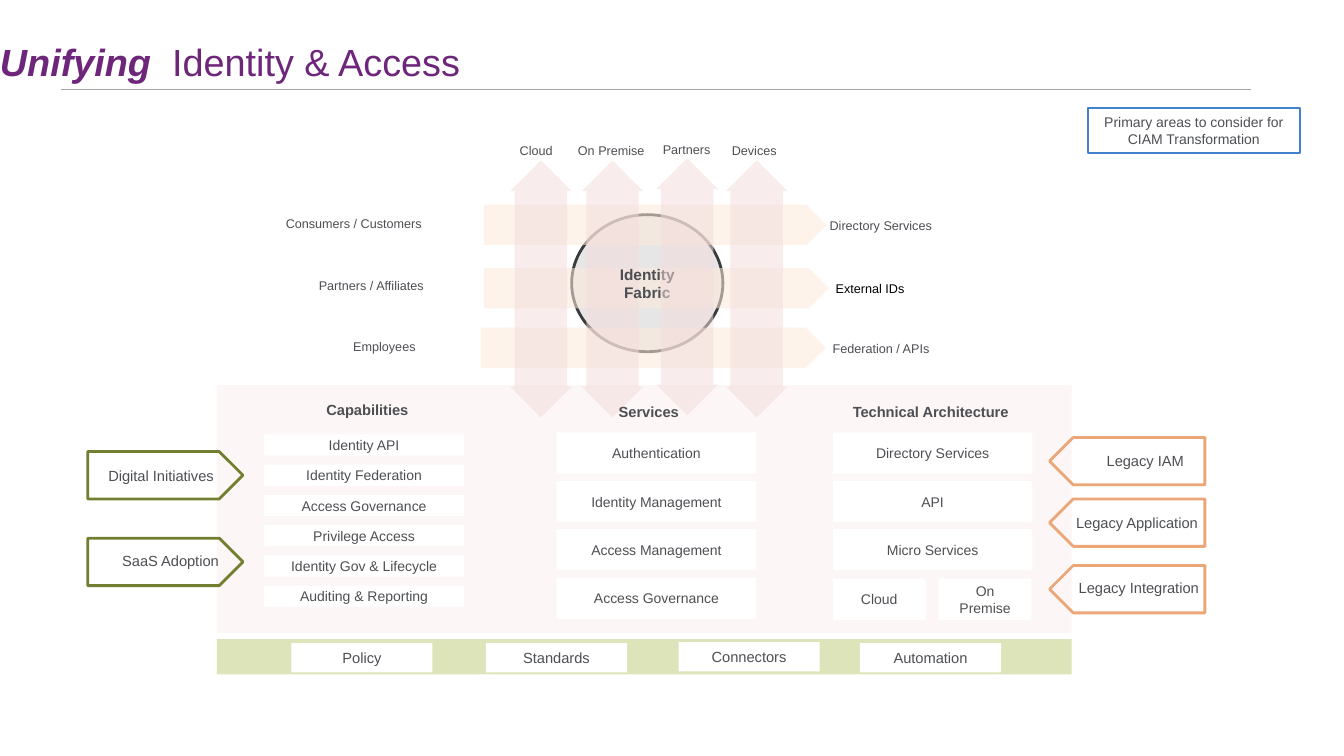
from dataclasses import dataclass

from lxml import etree
from pptx import Presentation
from pptx import util as u
from pptx.dml.color import RGBColor
from pptx.enum import shapes, text
from pptx.oxml import ns

Shape = shapes.MSO_SHAPE
Align = text.PP_ALIGN


@dataclass(frozen=True)
class Theme:
    font: str = "Arial"
    ink: str = "4D4F53"
    black: str = "000000"
    white: str = "FFFFFF"
    purple: str = "6E267B"
    rule: str = "A6A6A6"
    panel: str = "FCF6F6"
    disc: str = "D9D9D9"
    disc_edge: str = "3A3B3E"
    peach: str = "FDEADA"
    rose: str = "F2DCDB"
    green: str = "DDE4B9"
    olive: str = "727E30"
    orange: str = "EBA777"
    blue: str = "4181CE"
    title: float = 27
    hub: float = 11
    heading: float = 10.5
    body: float = 10
    label: float = 9


THEME = Theme()


def style_span(span, size, color, bold=False, italic=False):
    font = span.font
    font.name, font.size = THEME.font, u.Pt(size)
    font.bold, font.italic = bold, italic
    font.color.rgb = RGBColor.from_string(color)


def write(box, words, size, color=THEME.ink, align=Align.CENTER, bold=False):
    box.text_frame.word_wrap = True
    para = box.text_frame.paragraphs[0]
    para.text = words
    para.alignment = align
    style_span(para.runs[0], size, color, bold)


def add_label(page, words, left, top, width, height=0.25, size=THEME.label, **style):
    box = page.shapes.add_textbox(*map(u.Inches, (left, top, width, height)))
    write(box, words, size, **style)


def add_block(page, kind, left, top, width, height, fill=None, alpha=None,
              line=None, weight=2, rotation=0):
    block = page.shapes.add_shape(kind, *map(u.Inches, (left, top, width, height)))
    block.shadow.inherit = False
    block.rotation = rotation
    if fill:
        block.fill.solid()
        block.fill.fore_color.rgb = RGBColor.from_string(fill)
    else:
        block.fill.background()
    if alpha:
        color = block.fill._xPr.find(".//" + ns.qn("a:srgbClr"))
        etree.SubElement(color, ns.qn("a:alpha"), val=str(alpha * 1000))
    if line:
        block.line.color.rgb = RGBColor.from_string(line)
        block.line.width = u.Pt(weight)
    else:
        block.line.fill.background()
    return block


def add_card(page, words, left, top, width, height, size=THEME.body, **look):
    card = add_block(page, Shape.RECTANGLE, left, top, width, height, **look)
    card.text_frame.vertical_anchor = text.MSO_ANCHOR.MIDDLE
    write(card, words, size)


def add_stack(page, names, left, top, pitch, height):
    for row, name in enumerate(names):
        add_card(page, name, left, top + row * pitch, 1.98, height, fill=THEME.white)


def add_title(page):
    box = page.shapes.add_textbox(0, u.Inches(0.31), u.Inches(13.33), u.Inches(0.59))
    frame = box.text_frame
    frame.word_wrap = True
    frame.margin_left = frame.margin_right = 0
    frame.vertical_anchor = text.MSO_ANCHOR.MIDDLE
    para = frame.paragraphs[0]
    for words, strong in (("Unifying  ", True), ("Identity & Access", False)):
        span = para.add_run()
        span.text = words
        style_span(span, THEME.title, THEME.purple, strong, strong)

    rule = page.shapes.add_connector(
        shapes.MSO_CONNECTOR.STRAIGHT, *map(u.Inches, (0.61, 0.89, 12.41, 0.89)))
    rule.line.color.rgb = RGBColor.from_string(THEME.rule)
    rule.line.width = u.Pt(0.75)
    etree.SubElement(rule._element.spPr, ns.qn("a:effectLst"))


def add_channel(page, left, top):
    arrow = add_block(page, Shape.LEFT_RIGHT_ARROW, left, top, 2.55, 0.61,
                      fill=THEME.rose, alpha=52, rotation=270)
    arrow.adjustments[0], arrow.adjustments[1] = 0.852, 0.5


def add_fabric(page):
    add_block(page, Shape.OVAL, 5.67, 2.13, 1.5, 1.36, fill=THEME.disc, alpha=64,
              line=THEME.disc_edge)

    # Horizontal flows from users to sources
    for left, top, width in ((4.8, 2.03, 3.4), (4.8, 2.66, 3.42), (4.77, 3.25, 3.42)):
        add_block(page, Shape.PENTAGON, left, top, width, 0.4, fill=THEME.peach, alpha=55)
    for words, left, top, width in (("Consumers / Customers", 2.26, 2.09, 2.02),
                                    ("Partners / Affiliates", 2.68, 2.71, 1.62),
                                    ("Employees", 1.81, 3.31, 2.41)):
        add_label(page, words, left, top, width, align=Align.RIGHT)
    for words, left, top, color in (("Directory Services", 8.13, 2.11, THEME.ink),
                                    ("External IDs", 8.19, 2.74, THEME.black),
                                    ("Federation / APIs", 8.16, 3.33, THEME.ink)):
        add_label(page, words, left, top, 1.52, color=color, align=Align.LEFT)

    # Vertical channels; the hub name lies beneath the right-hand pair
    add_channel(page, 4.09, 2.56)
    add_channel(page, 4.8, 2.56)
    add_label(page, "Identity Fabric", 5.82, 2.58, 1.2, 0.47, THEME.hub, bold=True)
    add_channel(page, 5.54, 2.54)
    add_channel(page, 6.23, 2.56)
    for words, left, top, width, align in (("Cloud", 4.91, 1.37, 0.67, Align.RIGHT),
                                           ("On Premise", 5.57, 1.37, 0.92, Align.RIGHT),
                                           ("Partners", 6.35, 1.36, 0.92, Align.CENTER),
                                           ("Devices", 7.02, 1.37, 0.92, Align.CENTER)):
        add_label(page, words, left, top, width, align=align)


def add_columns(page):
    for words, left, top, align in (("Capabilities", 2.68, 3.93, Align.CENTER),
                                    ("Services", 5.47, 3.95, Align.CENTER),
                                    ("Technical Architecture", 8.36, 3.95, Align.LEFT)):
        add_label(page, words, left, top, 1.93, 0.29, THEME.heading, align=align, bold=True)
    add_stack(page, ("Identity API", "Identity Federation", "Access Governance",
                     "Privilege Access", "Identity Gov & Lifecycle",
                     "Auditing & Reporting"), 2.62, 4.31, 0.3, 0.21)
    add_stack(page, ("Authentication", "Identity Management", "Access Management",
                     "Access Governance"), 5.52, 4.29, 0.48, 0.41)
    add_stack(page, ("Directory Services", "API", "Micro Services"), 8.26, 4.29, 0.48, 0.41)
    for words, left in (("Cloud", 8.26), ("On Premise", 9.31)):
        add_card(page, words, left, 5.74, 0.92, 0.41, fill=THEME.white)


def add_side_tag(page, words, left, top, color, rotation, label_left, label_top, label_width):
    add_block(page, Shape.PENTAGON, left, top, 1.54, 0.47, line=color, rotation=rotation)
    add_label(page, words, label_left, label_top, label_width, 0.29, THEME.heading,
              align=Align.RIGHT)


def add_side_tags(page):
    for words, top, *label in (("Digital Initiatives", 4.48, 0.82, 4.58, 1.4),
                               ("SaaS Adoption", 5.34, 0.87, 5.43, 1.4)):
        add_side_tag(page, words, 0.87, top, THEME.olive, 0, *label)
    for words, top, *label in (("Legacy IAM", 4.34, 10.44, 4.43, 1.4),
                               ("Legacy Application", 4.95, 10.38, 5.05, 1.6),
                               ("Legacy Integration", 5.61, 10.39, 5.69, 1.6)):
        add_side_tag(page, words, 10.41, top, THEME.orange, 180, *label)


def add_foundation(page):
    add_block(page, Shape.RECTANGLE, 2.15, 6.34, 8.48, 0.35, fill=THEME.green)
    for words, left, top in (("Policy", 2.89, 6.38), ("Standards", 4.82, 6.38),
                             ("Connectors", 6.73, 6.37), ("Automation", 8.53, 6.38)):
        add_card(page, words, left, top, 1.4, 0.29, THEME.heading, fill=THEME.white)


def main():
    deck = Presentation()
    deck.slide_width, deck.slide_height = u.Inches(13.33), u.Inches(7.5)
    page = deck.slides.add_slide(deck.slide_layouts[6])

    # Backdrop and title
    add_block(page, Shape.RECTANGLE, 2.15, 3.82, 8.48, 2.46, fill=THEME.panel)
    add_title(page)

    # Identity fabric and the columns below it
    add_fabric(page)
    add_columns(page)

    # Surrounding drivers, foundation and key
    add_side_tags(page)
    add_foundation(page)
    add_card(page, "Primary areas to consider for CIAM Transformation",
             10.79, 1.07, 2.1, 0.45, line=THEME.blue, weight=1.5)

    deck.save("out.pptx")


if __name__ == "__main__":
    main()
